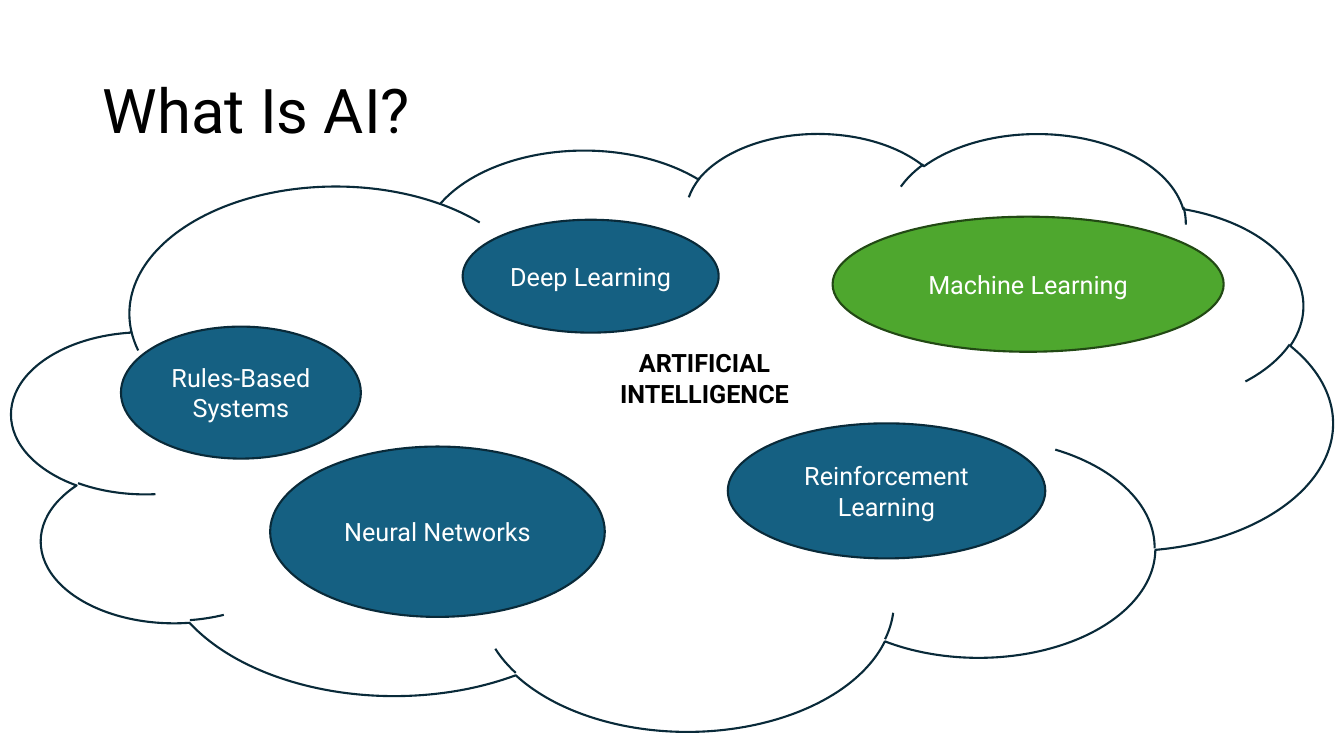
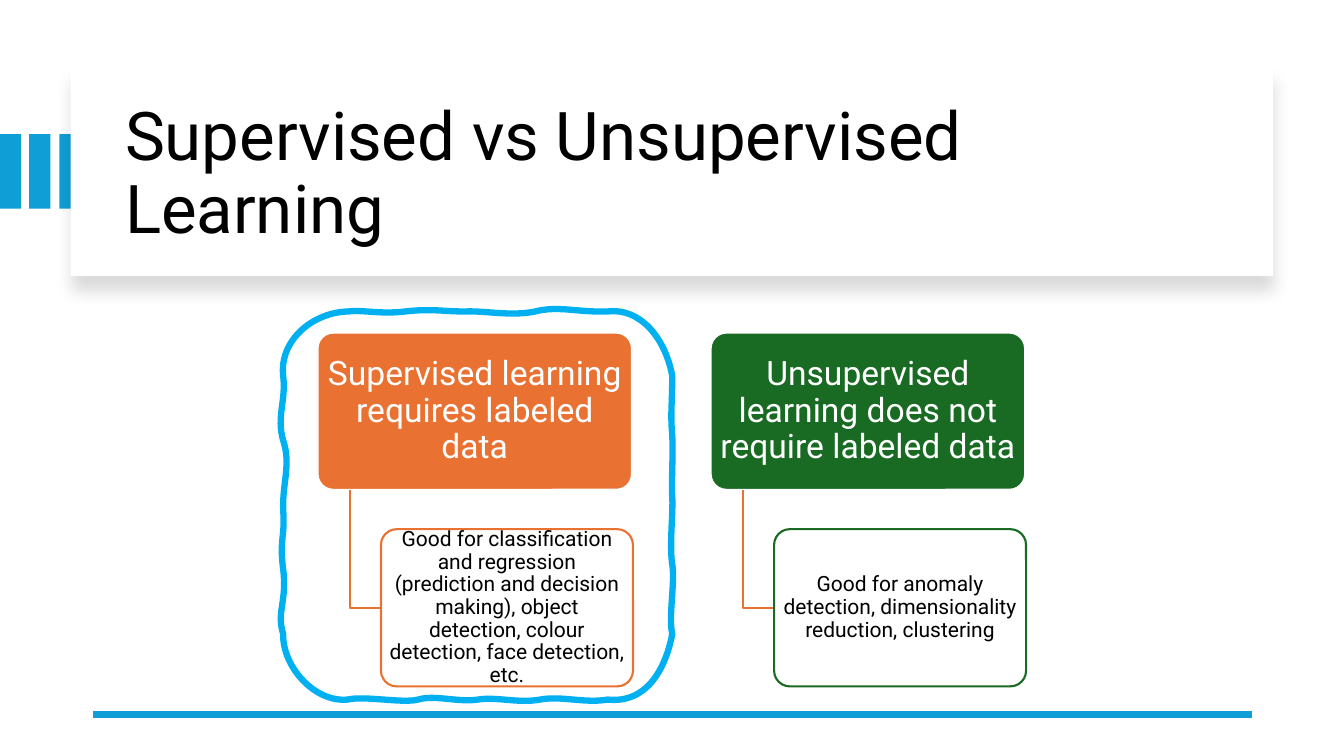
from lxml import etree
from pptx import Presentation, util as u
from pptx.dml.color import RGBColor
from pptx.enum import shapes, text
from pptx.oxml.ns import qn

PX = 9144
FONT = "Roboto"
BLACK, WHITE = "000000", "FFFFFF"
NAVY, TEAL, LEAF, MOSS = "092A39", "156082", "4EA72E", "224914"
SKY, ORANGE, FOREST, MARKER = "0F9ED5", "E97132", "196B24", "00B0F0"
KIND = shapes.MSO_SHAPE

METHODS = [
    ("Rules-Based Systems", (120, 324, 238, 131), TEAL, NAVY),
    ("Neural Networks", (268, 443, 332, 169), TEAL, NAVY),
    ("Deep Learning", (459, 218, 254, 112), TEAL, NAVY),
    ("Reinforcement Learning", (722, 420, 315, 134), TEAL, NAVY),
    ("Machine Learning", (826, 215, 388, 134), LEAF, MOSS),
]
BRANCHES = [
    (315, ORANGE, "Supervised learning requires labeled data",
     "Good for classification and regression (prediction and decision making), "
     "object detection, colour detection, face detection, etc."),
    (705, FOREST, "Unsupervised learning does not require labeled data",
     "Good for anomaly detection, dimensionality reduction, clustering"),
]
LOOP_START = (281, 373)
LOOP_CURVES = [
    (277, 338, 310, 310, 345, 309), (359, 307, 377, 312, 402, 309),
    (427, 306, 441, 309, 461, 309), (481, 308, 507, 314, 531, 309),
    (554, 303, 573, 310, 603, 309), (635, 305, 660, 335, 667, 373),
    (667, 400, 665, 410, 667, 432), (668, 454, 666, 479, 667, 493),
    (668, 508, 664, 542, 667, 560), (670, 578, 663, 612, 667, 629),
    (660, 665, 641, 698, 603, 694), (580, 698, 557, 690, 536, 694),
    (514, 698, 493, 691, 474, 694), (455, 697, 431, 689, 415, 694),
    (399, 698, 362, 690, 345, 694), (311, 697, 280, 660, 281, 629),
    (274, 607, 285, 597, 281, 565), (277, 534, 283, 534, 281, 506),
    (280, 479, 289, 461, 281, 437), (274, 413, 284, 398, 281, 373),
]


def emu(*lengths):
    """Turn px lengths into EMU."""
    return [u.Emu(length * PX) for length in lengths]


def rgb(code):
    """Turn a hex string into a colour."""
    return RGBColor.from_string(code)


def write(frame, words, size, color, bold=False, align=text.PP_ALIGN.CENTER,
          spacing=1.0, anchor=text.MSO_ANCHOR.MIDDLE, insets=None):
    """Put one formatted run into a text frame."""
    frame.word_wrap = True
    frame.auto_size = text.MSO_AUTO_SIZE.NONE
    frame.vertical_anchor = anchor
    if insets:
        (frame.margin_left, frame.margin_top,
         frame.margin_right, frame.margin_bottom) = emu(*insets)
    paragraph = frame.paragraphs[0]
    paragraph.alignment = align
    paragraph.line_spacing = spacing
    run = paragraph.add_run()
    run.text = words
    run.font.name, run.font.size, run.font.bold = FONT, u.Pt(size), bold
    run.font.color.rgb = rgb(color)


def paint(shape, fill=None, line=None, weight=1.5):
    """Set the fill and outline of a shape, without a shadow."""
    if fill:
        shape.fill.solid()
        shape.fill.fore_color.rgb = rgb(fill)
    else:
        shape.fill.background()
    if line:
        shape.line.color.rgb = rgb(line)
        shape.line.width = u.Pt(weight)
    else:
        shape.line.fill.background()
    shape.shadow.inherit = False


def add_figure(slide, kind, box, fill=None, line=None):
    """Add a painted preset shape."""
    figure = slide.shapes.add_shape(kind, *emu(*box))
    paint(figure, fill, line)
    return figure


def add_outline(slide, points, color, weight, close=False):
    """Add an unfilled outline through px points."""
    start, *rest = [emu(*point) for point in points]
    builder = slide.shapes.build_freeform(*start)
    builder.add_line_segments(rest, close=close)
    outline = builder.convert_to_shape()
    paint(outline, None, color, weight)
    return outline


def add_curved_loop(slide, start, curves, color, weight):
    """Add a closed outline of cubic curves."""
    ends = [curve[4:] for curve in curves]
    loop = add_outline(slide, [start, *ends], color, weight, True)
    segments = list(loop.element.iter(qn("a:lnTo")))
    for segment, curve in zip(segments, curves):
        bend = etree.Element(qn("a:cubicBezTo"))
        for x, y in zip(curve[::2], curve[1::2]):
            etree.SubElement(bend, qn("a:pt"), x=str(x * PX - loop.left),
                             y=str(y * PX - loop.top))
        segment.getparent().replace(segment, bend)


def add_title(slide, words, box, size):
    """Move, format and fill the title, in front of what is already there."""
    title = slide.shapes.title
    title.left, title.top, title.width, title.height = emu(*box)
    write(title.text_frame, words, size, BLACK,
          align=text.PP_ALIGN.LEFT, spacing=0.9)
    slide.shapes.element.append(title.element)


def add_card(slide, box):
    """Add a white card with a soft shadow below it."""
    card = add_figure(slide, KIND.RECTANGLE, box, WHITE)
    effects = card.element.spPr.find(qn("a:effectLst"))
    shadow = etree.SubElement(
        effects, qn("a:outerShdw"), blurRad=str(u.Pt(11)), dist=str(u.Pt(10)),
        dir="5400000", algn="t", rotWithShape="0")
    color = etree.SubElement(shadow, qn("a:srgbClr"), val=BLACK)
    etree.SubElement(color, qn("a:alpha"), val="15000")


def add_rule(slide, start, end, color, weight):
    """Add a straight line without a shadow."""
    rule = slide.shapes.add_connector(
        shapes.MSO_CONNECTOR.STRAIGHT, *emu(*start, *end))
    rule.line.color.rgb = rgb(color)
    rule.line.width = u.Pt(weight)
    etree.SubElement(rule.element.spPr, qn("a:effectLst"))


def add_node(slide, box, fill, line, words, size, color, insets):
    """Add a rounded box with text."""
    node = add_figure(slide, KIND.ROUNDED_RECTANGLE, box, fill, line)
    node.adjustments[0] = 0.1
    write(node.text_frame, words, size, color, spacing=0.9, insets=insets)


def add_branch(slide, left, color, heading, detail):
    """Add a heading box with a detail box hanging from it."""
    top, height, detail_top = 330, 156, 525
    stem, detail_left = left + 32, left + 63
    middle = detail_top + height // 2
    add_node(slide, (left, top, 312, height), color, WHITE,
             heading, 24, WHITE, (5, 3, 5, 3))
    add_outline(slide, [(stem, top + height), (stem, middle), (detail_left, middle)],
                ORANGE, 1.5)
    add_node(slide, (detail_left, detail_top, 250, height), WHITE, color,
             detail, 15, BLACK, (3, 2, 3, 2))


def build_ai_map(slide):
    """Show the methods that make up AI inside a cloud."""
    add_title(slide, "What Is AI?", (92, 40, 1150, 145), 44)
    add_figure(slide, KIND.CLOUD, (12, 131, 1310, 593), line=NAVY)
    label = slide.shapes.add_textbox(*emu(559, 340, 280, 71))
    write(label.text_frame, "ARTIFICIAL INTELLIGENCE", 18, BLACK, bold=True,
          anchor=text.MSO_ANCHOR.TOP)
    for name, box, fill, line in METHODS:
        method = add_figure(slide, KIND.OVAL, box, fill, line)
        write(method.text_frame, name, 18, WHITE)


def build_comparison(slide):
    """Compare two kinds of learning and mark the first."""
    for left in (0, 29, 59):
        add_figure(slide, KIND.RECTANGLE, (left, 133, 21, 74), SKY)
    add_card(slide, (70, 67, 1193, 207))
    add_title(slide, "Supervised vs Unsupervised Learning", (114, 89, 1113, 170), 48)
    add_rule(slide, (1242, 709), (92, 709), SKY, 4.5)
    for branch in BRANCHES:
        add_branch(slide, *branch)
    add_curved_loop(slide, LOOP_START, LOOP_CURVES, MARKER, 4.5)


def main():
    """Build and save the presentation."""
    deck = Presentation()
    deck.slide_width, deck.slide_height = u.Emu(12192000), u.Emu(6858000)
    title_only = deck.slide_layouts[5]
    for build in (build_ai_map, build_comparison):
        build(deck.slides.add_slide(title_only))
    deck.save("out.pptx")


if __name__ == "__main__":
    main()
